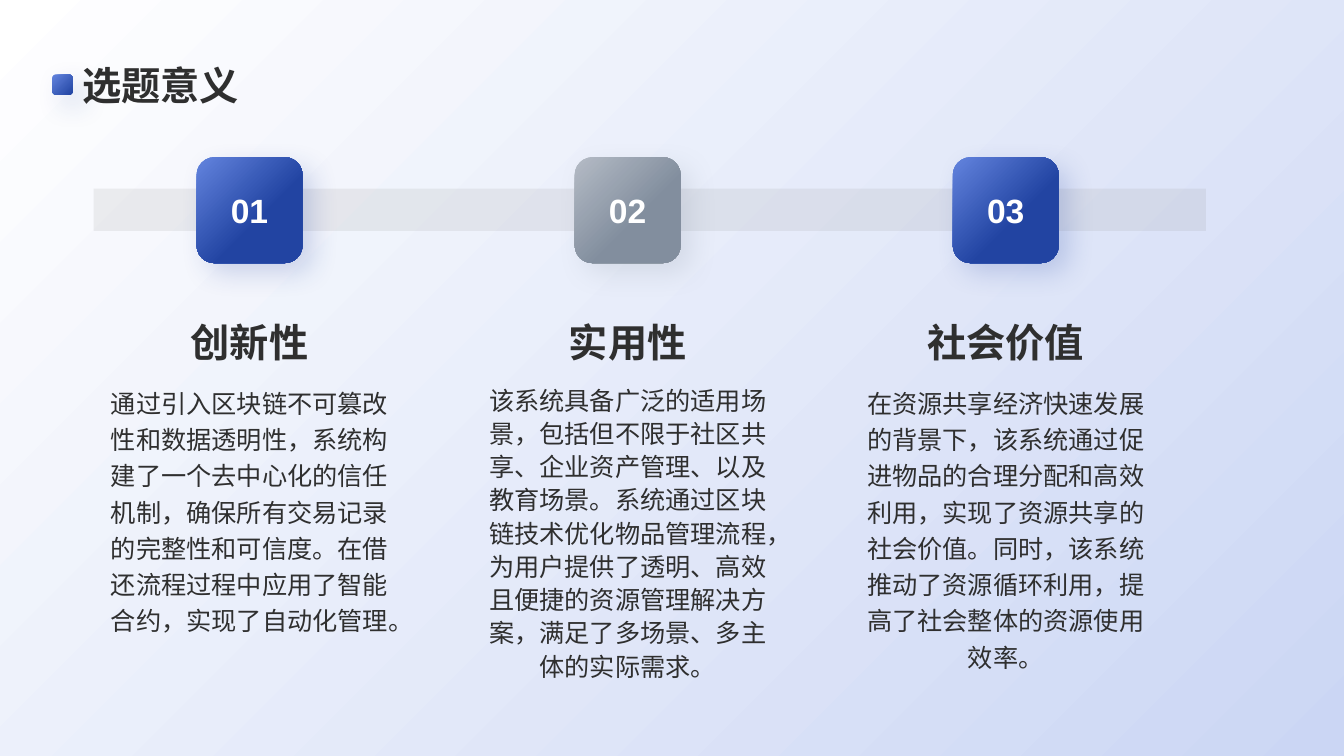
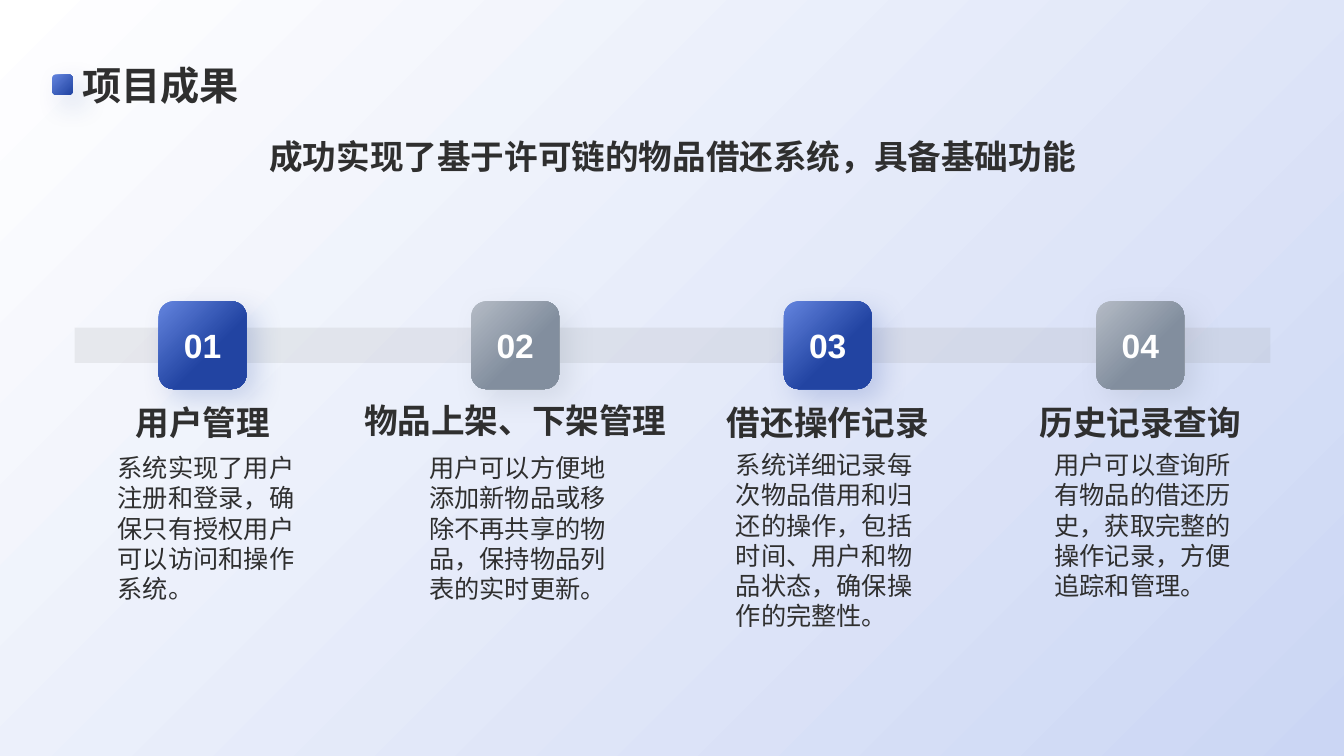
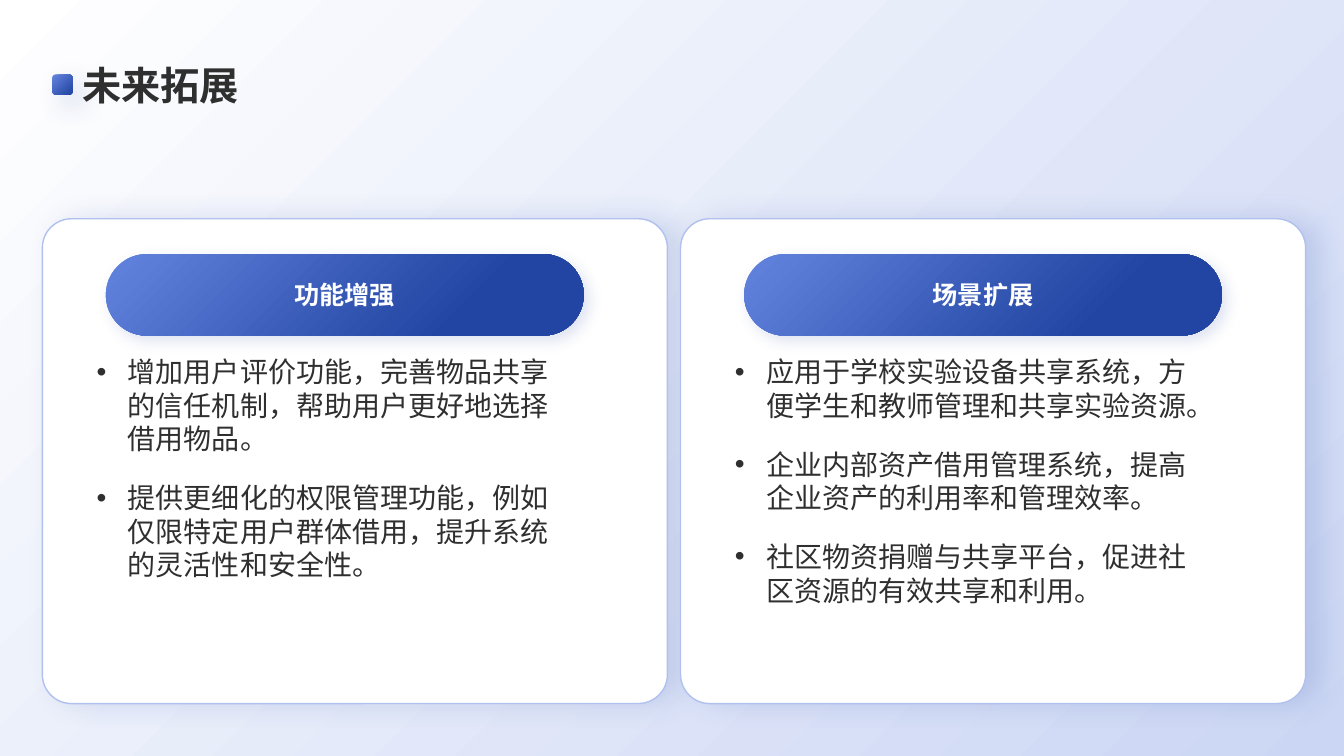
from dataclasses import dataclass

import pptx
import pptx.dml.color
import pptx.enum.shapes
import pptx.enum.text
import pptx.oxml
import pptx.oxml.ns
import pptx.util
from pptx.dml.color import RGBColor
from pptx.enum.shapes import MSO_SHAPE
from pptx.enum.text import MSO_ANCHOR, MSO_AUTO_SIZE, PP_ALIGN
from pptx.util import Inches

# Shared look
FONT = "Arial"
INK = RGBColor(0x2F, 0x2F, 0x2F)
WHITE = RGBColor(0xFF, 0xFF, 0xFF)
BLUE_LIGHT = RGBColor(0x63, 0x84, 0xDE)
BLUE = RGBColor(0x22, 0x44, 0xA2)
GRAY_LIGHT = RGBColor(0xB4, 0xBB, 0xC5)
GRAY = RGBColor(0x82, 0x8E, 0x9E)
RAIL = RGBColor(0x97, 0x97, 0x97)
CARD_LINE = RGBColor(0xB1, 0xC1, 0xEF)
SKY = RGBColor(0xCB, 0xD6, 0xF4)
BADGE_COLORS = [(BLUE_LIGHT, BLUE), (GRAY_LIGHT, GRAY)]


@dataclass
class Box:
    left: float
    top: float
    width: float
    height: float

    def lengths(self) -> list:
        return [Inches(v) for v in (self.left, self.top, self.width, self.height)]


@dataclass
class TextStyle:
    size: int
    bold: bool = False
    color: RGBColor = INK
    align: PP_ALIGN = PP_ALIGN.LEFT
    anchor: MSO_ANCHOR = MSO_ANCHOR.TOP
    spacing: float | None = None
    bullets: bool = False
    grow: bool = False


@dataclass
class Shadow:
    color: RGBColor = BLUE
    alpha: int = 20
    blur: int = 20
    distance: int = 10
    angle: int = 45


@dataclass
class Reason:
    heading: str
    body: str
    spacing: float = 1.2


@dataclass
class Result:
    heading: str
    body: str
    body_left: float
    body_top: float = 4.44
    heading_top: float = 3.77
    heading_width: float = 2.55


@dataclass
class Card:
    heading: str
    points: list[str]


TITLE = TextStyle(28, True, anchor=MSO_ANCHOR.BOTTOM)
HEADING = TextStyle(28, True, align=PP_ALIGN.CENTER, anchor=MSO_ANCHOR.BOTTOM)
SMALL_HEADING = TextStyle(24, True, align=PP_ALIGN.CENTER, anchor=MSO_ANCHOR.BOTTOM)
SUBTITLE = TextStyle(24, True, align=PP_ALIGN.CENTER)
BADGE = TextStyle(24, True, WHITE, PP_ALIGN.CENTER, MSO_ANCHOR.MIDDLE)
PILL = TextStyle(18, True, WHITE, PP_ALIGN.CENTER, MSO_ANCHOR.MIDDLE)
BODY = TextStyle(18, grow=True)
POINTS = TextStyle(20, bullets=True, grow=True)

REASONS = [
    Reason("创新性", "通过引入区块链不可篡改性和数据透明性，系统构建了一个去中心化的信任机制，"
           "确保所有交易记录的完整性和可信度。在借还流程过程中应用了智能合约，实现了自动化管理。"),
    Reason("实用性", "该系统具备广泛的适用场景，包括但不限于社区共享、企业资产管理、以及教育场景。"
           "系统通过区块链技术优化物品管理流程，为用户提供了透明、高效且便捷的资源管理解决方案，"
           "满足了多场景、多主体的实际需求。", 1.1),
    Reason("社会价值", "在资源共享经济快速发展的背景下，该系统通过促进物品的合理分配和高效利用，"
           "实现了资源共享的社会价值。同时，该系统推动了资源循环利用，提高了社会整体的资源使用效率。"),
]
RESULTS = [
    Result("用户管理", "系统实现了用户注册和登录，确保只有授权用户可以访问和操作系统。", 1.07),
    Result("物品上架、下架管理", "用户可以方便地添加新物品或移除不再共享的物品，保持物品列表的实时更新。",
           4.16, heading_top=3.75, heading_width=3.29),
    Result("借还操作记录", "系统详细记录每次物品借用和归还的操作，包括时间、用户和物品状态，确保操作的完整性。",
           7.2, 4.41),
    Result("历史记录查询", "用户可以查询所有物品的借还历史，获取完整的操作记录，方便追踪和管理。",
           10.36, 4.41),
]
CARDS = [
    Card("功能增强", ["增加用户评价功能，完善物品共享的信任机制，帮助用户更好地选择借用物品。",
                  "提供更细化的权限管理功能，例如仅限特定用户群体借用，提升系统的灵活性和安全性。"]),
    Card("场景扩展", ["应用于学校实验设备共享系统，方便学生和教师管理和共享实验资源。",
                  "企业内部资产借用管理系统，提高企业资产的利用率和管理效率。",
                  "社区物资捐赠与共享平台，促进社区资源的有效共享和利用。"]),
]


# Drawing helpers
def add_child(parent, tag: str, **attributes):
    child = pptx.oxml.ns.qn(tag)
    element = parent.makeelement(child, {k: str(v) for k, v in attributes.items()})
    parent.append(element)
    return element


def set_gradient(fill, colors: tuple, angle: int, end: float = 1.0) -> None:
    """Fill from one colour to the other; angle is clockwise."""
    fill.gradient()
    fill.gradient_angle = 360 - angle
    for stop, color, position in zip(fill.gradient_stops, colors, (0, end)):
        stop.color.rgb = color
        stop.position = position


def set_shadow(shape, shadow: Shadow) -> None:
    effects = shape._element.spPr.find(pptx.oxml.ns.qn("a:effectLst"))
    outer = add_child(effects, "a:outerShdw", blurRad=pptx.util.Pt(shadow.blur),
                      dist=pptx.util.Pt(shadow.distance), dir=shadow.angle * 60000,
                      algn="ctr", rotWithShape=0)
    color = add_child(outer, "a:srgbClr", val=shadow.color)
    add_child(color, "a:alpha", val=shadow.alpha * 1000)


def write(shape, texts: list[str], style: TextStyle) -> None:
    frame = shape.text_frame
    frame.word_wrap = True
    frame.vertical_anchor = style.anchor
    if style.grow:
        frame.auto_size = MSO_AUTO_SIZE.SHAPE_TO_FIT_TEXT
    for index, text in enumerate(texts):
        para = frame.add_paragraph() if index else frame.paragraphs[0]
        para.text = text
        para.alignment = style.align
        if style.spacing:
            para.line_spacing = style.spacing
        if style.bullets:
            para.space_before = pptx.util.Pt(18)
            properties = para._p.get_or_add_pPr()
            properties.set("marL", str(Inches(0.31)))
            properties.set("indent", str(-Inches(0.31)))
            add_child(properties, "a:buFont", typeface=FONT)
            add_child(properties, "a:buChar", char="•")
        para.font.name = FONT
        para.font.size = pptx.util.Pt(style.size)
        para.font.bold = style.bold
        para.font.color.rgb = style.color


def add_text(page, box: Box, texts: list[str], style: TextStyle) -> None:
    write(page.shapes.add_textbox(*box.lengths()), texts, style)


def add_block(page, box: Box, kind=MSO_SHAPE.ROUNDED_RECTANGLE, radius: float | None = None):
    shape = page.shapes.add_shape(kind, *box.lengths())
    shape.shadow.inherit = False
    shape.line.fill.background()
    if radius is not None:
        shape.adjustments[0] = radius
    return shape


def add_rail(page, box: Box) -> None:
    rail = add_block(page, box, MSO_SHAPE.RECTANGLE)
    rail.fill.solid()
    rail.fill.fore_color.rgb = RAIL
    color = rail._element.spPr.find(".//" + pptx.oxml.ns.qn("a:srgbClr"))
    add_child(color, "a:alpha", val=15000)


def add_badge(page, index: int, center: float, top: float, side: float) -> None:
    colors = BADGE_COLORS[index % 2]
    badge = add_block(page, Box(center - side / 2, top, side, side))
    set_gradient(badge.fill, colors, 45, 0.6)
    set_shadow(badge, Shadow(colors[1]))
    write(badge, [f"{index + 1:02}"], BADGE)


def add_page(deck, title: str):
    page = deck.slides.add_slide(deck.slide_layouts[6])
    marker = add_block(page, Box(0.52, 0.74, 0.2, 0.2))
    set_gradient(marker.fill, (BLUE_LIGHT, BLUE), 45)
    set_shadow(marker, Shadow())
    add_text(page, Box(0.72, 0.14, 11.88, 0.98), [title], TITLE)
    return page


# Slides
def build_reasons(deck) -> None:
    page = add_page(deck, "选题意义")
    add_rail(page, Box(0.93, 1.87, 11.03, 0.42))
    width = 3.09
    for index, reason in enumerate(REASONS):
        left = 0.93 + 3.75 * index
        add_badge(page, index, left + width / 2, 1.56, 1.05)
        body = TextStyle(18, align=PP_ALIGN.CENTER, spacing=reason.spacing)
        add_text(page, Box(left, 3.74, width, 3.31), [reason.body], body)
        add_text(page, Box(left, 2.86, width, 0.81), [reason.heading], HEADING)


def build_results(deck) -> None:
    page = add_page(deck, "项目成果")
    add_text(page, Box(0.74, 1.3, 11.86, 1.42),
             ["成功实现了基于许可链的物品借还系统，具备基础功能"], SUBTITLE)
    add_rail(page, Box(0.74, 3.25, 11.86, 0.35))
    for index, result in enumerate(RESULTS):
        center = 2.01 + 3.1 * index
        add_badge(page, index, center, 2.99, 0.87)
        add_text(page, Box(center - result.heading_width / 2, result.heading_top,
                           result.heading_width, 0.67), [result.heading], SMALL_HEADING)
        add_text(page, Box(result.body_left, result.body_top, 2.04, 1.62), [result.body], BODY)


def build_plans(deck) -> None:
    page = add_page(deck, "未来拓展")
    for index, card in enumerate(CARDS):
        left = 0.42 + 6.33 * index
        panel = add_block(page, Box(left, 2.17, 6.2, 4.81), radius=0.06)
        panel.fill.solid()
        panel.fill.fore_color.rgb = WHITE
        panel.line.color.rgb = CARD_LINE
        panel.line.width = pptx.util.Pt(1)
        set_shadow(panel, Shadow(alpha=15, angle=0))
        pill = add_block(page, Box(left + 0.63, 2.52, 4.74, 0.81), radius=0.5)
        set_gradient(pill.fill, (BLUE_LIGHT, BLUE), 45, 0.75)
        set_shadow(pill, Shadow(alpha=15, blur=10, distance=5))
        write(pill, [card.heading], PILL)
        add_text(page, Box(left + 0.44, 3.47, 4.94, 2.37), card.points, POINTS)


def main() -> None:
    deck = pptx.Presentation()
    deck.slide_width, deck.slide_height = Inches(13.33), Inches(7.5)
    set_gradient(deck.slide_master.background.fill, (SKY, WHITE), 225)
    build_reasons(deck)
    build_results(deck)
    build_plans(deck)
    deck.save("out.pptx")


if __name__ == "__main__":
    main()
